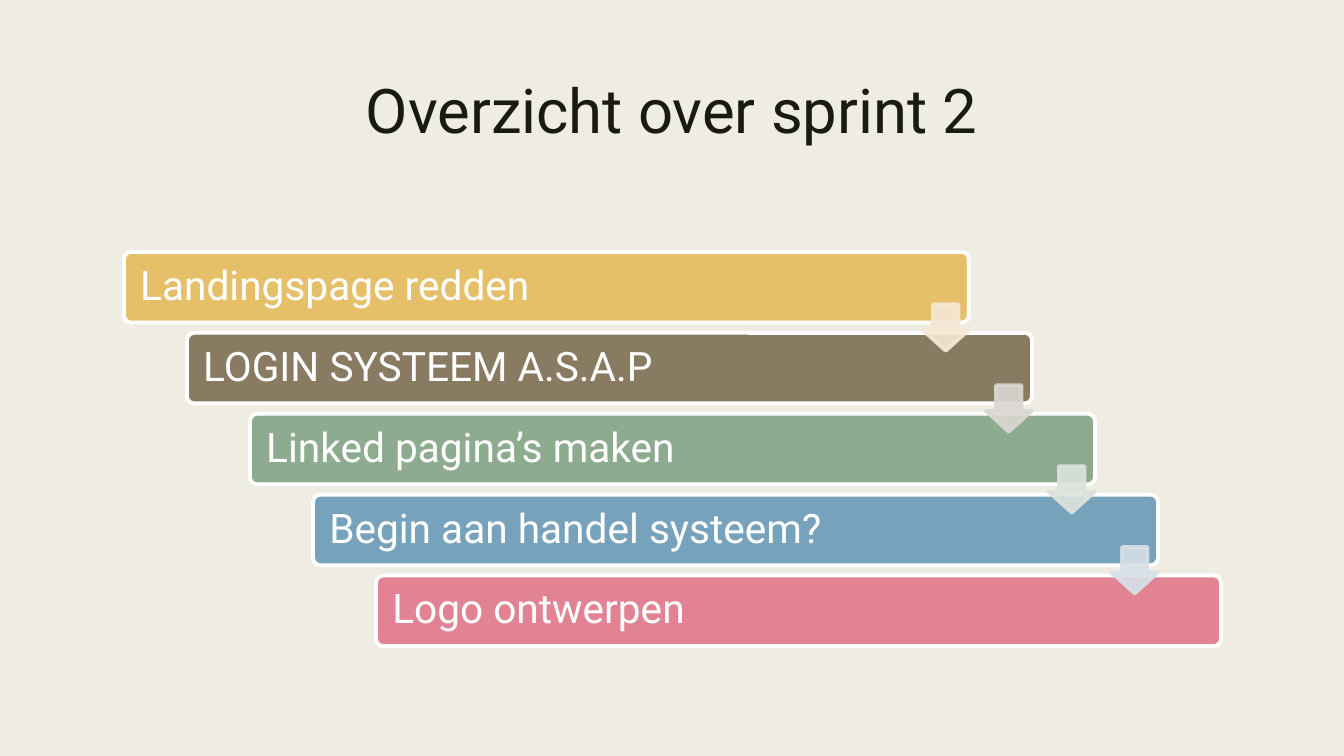
"""Build the sprint 2 overview slide: a title and a staircase of tasks."""
from dataclasses import dataclass

from lxml import etree
from pptx import Presentation
from pptx.dml.color import RGBColor
from pptx.enum.shapes import MSO_SHAPE
from pptx.enum.text import MSO_ANCHOR, PP_ALIGN
from pptx.oxml.ns import qn
from pptx.util import Inches, Pt

BAR = MSO_SHAPE.ROUNDED_RECTANGLE
ARROW = MSO_SHAPE.DOWN_ARROW
LEFT, CENTER = PP_ALIGN.LEFT, PP_ALIGN.CENTER
TOP, MIDDLE = MSO_ANCHOR.TOP, MSO_ANCHOR.MIDDLE

TASKS = [
    ("Landingspage redden", "E6C069", "F5E8D4"),
    ("LOGIN SYSTEEM A.S.A.P", "897B61", "DAD7D2"),
    ("Linked pagina’s maken", "8DAB8E", "DBE2DB"),
    ("Begin aan handel systeem?", "77A2BB", "D6E0E7"),
    ("Logo ontwerpen", "E28394", None),
]
FIRST_LEFT, FIRST_TOP = 1.23, 2.5
BAR_WIDTH, BAR_HEIGHT = 8.38, 0.7
STEP_RIGHT = 2.5 / (len(TASKS) - 1)
STEP_DOWN = 3.21 / (len(TASKS) - 1)
ARROW_SIZE, ARROW_DROP = 0.46, 0.52


@dataclass(frozen=True)
class Theme:
    """Colours, font and sizes of the slide."""

    background: str = "EFEDE3"
    ink: str = "191B0E"
    light: str = "FFFFFF"
    font: str = "Roboto"
    title_size: float = 44
    task_size: float = 29
    outline: float = 2.75
    arrow_opacity: int = 90


def set_all(target, values):
    """Set each named attribute on the target."""
    for name, value in values.items():
        setattr(target, name, value)


class SlideBuilder:
    """Hold the theme and the current slide."""

    def __init__(self, slide, theme):
        """Keep the slide and paint its background."""
        self.slide, self.theme = slide, theme
        self.paint(slide.background.fill, theme.background)

    def paint(self, fill, color):
        """Give a fill one solid colour."""
        fill.solid()
        fill.fore_color.rgb = RGBColor.from_string(color)

    def put_text(self, frame, text, size, color, align, spacing, layout):
        """Put one styled paragraph in a text frame."""
        set_all(frame, {"word_wrap": True, **layout})
        paragraph = frame.paragraphs[0]
        set_all(paragraph, {"alignment": align, "line_spacing": spacing})
        run = paragraph.add_run()
        run.text = text
        set_all(run.font, {"name": self.theme.font, "size": Pt(size)})
        run.font.color.rgb = RGBColor.from_string(color)

    def title(self, text, left, top, width, height):
        """Add the centred heading."""
        box = self.slide.shapes.add_textbox(*map(Inches, (left, top, width, height)))
        self.put_text(box.text_frame, text, self.theme.title_size, self.theme.ink,
                      CENTER, 0.89, {"vertical_anchor": TOP})

    def shape(self, kind, left, top, width, height, adjustments, fill, line):
        """Add a filled and outlined preset shape."""
        shape = self.slide.shapes.add_shape(kind, *map(Inches, (left, top, width, height)))
        for index, value in enumerate(adjustments):
            shape.adjustments[index] = value
        shape.shadow.inherit = False
        self.paint(shape.fill, fill)
        self.paint(shape.line.fill, line)
        shape.line.width = Pt(self.theme.outline)
        return shape

    def task(self, text, left, top, color):
        """Add one task bar with its label."""
        bar = self.shape(BAR, left, top, BAR_WIDTH, BAR_HEIGHT, [0.1],
                         color, self.theme.light)
        layout = {"vertical_anchor": MIDDLE, "margin_left": Inches(0.14),
                  "margin_right": Inches(0.14), "margin_top": Inches(0.12),
                  "margin_bottom": Inches(0.12)}
        self.put_text(bar.text_frame, text, self.theme.task_size, self.theme.light,
                      LEFT, 0.9, layout)

    def arrow(self, left, top, color):
        """Add a translucent arrow towards the next task."""
        arrow = self.shape(ARROW, left, top, ARROW_SIZE, ARROW_SIZE,
                           [0.55, 0.45], color, color)
        for tint in arrow.element.spPr.iter(qn("a:srgbClr")):
            alpha = etree.SubElement(tint, qn("a:alpha"))
            alpha.set("val", str(self.theme.arrow_opacity * 1000))


def main():
    """Build and save the presentation."""
    deck = Presentation()
    set_all(deck, {"slide_width": Inches(13.33), "slide_height": Inches(7.5)})
    builder = SlideBuilder(deck.slides.add_slide(deck.slide_layouts[6]), Theme())
    builder.title("Overzicht over sprint 2", 0.7, 0.75, 11.93, 1.62)

    corners = [(FIRST_LEFT + step * STEP_RIGHT, FIRST_TOP + step * STEP_DOWN)
               for step in range(len(TASKS))]
    for (text, color, _), (left, top) in zip(TASKS, corners):
        builder.task(text, left, top, color)
    for (_, _, tint), (left, top) in zip(TASKS[:-1], corners):
        builder.arrow(left + BAR_WIDTH - ARROW_SIZE, top + ARROW_DROP, tint)

    deck.save("out.pptx")


if __name__ == "__main__":
    main()
